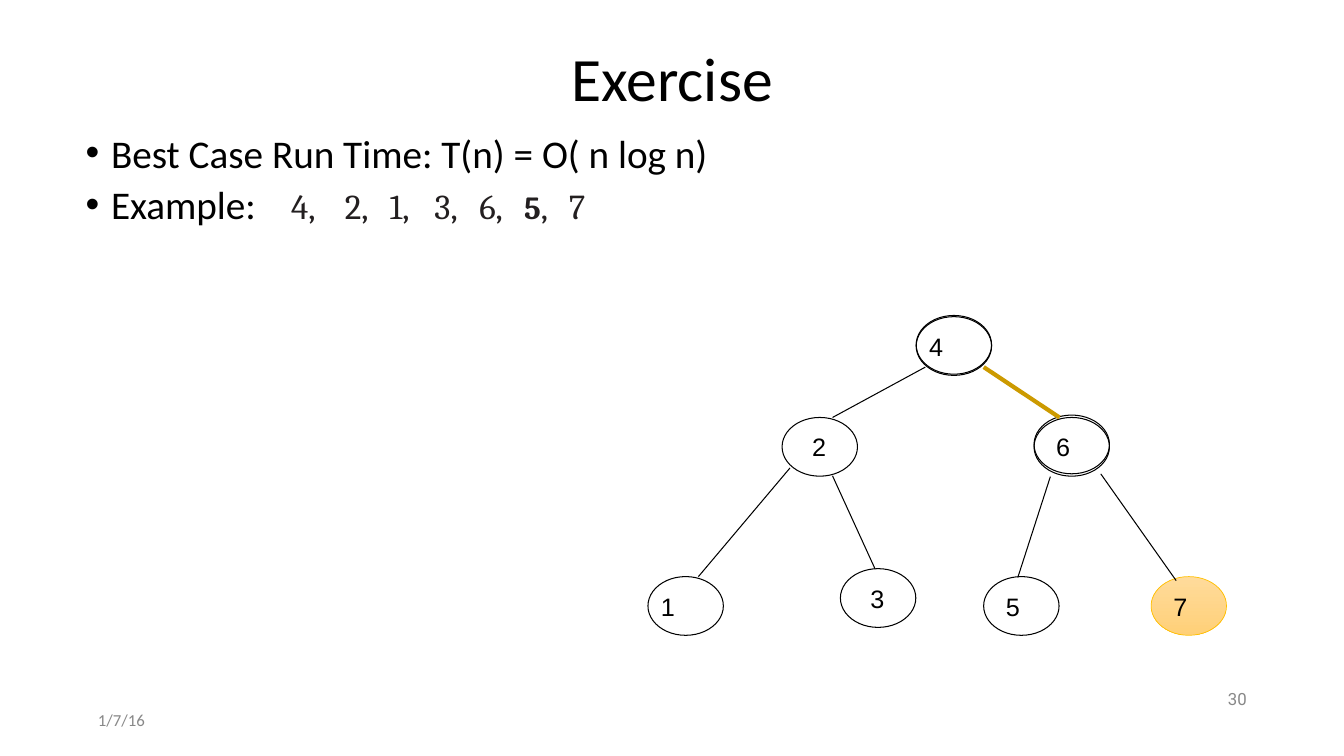
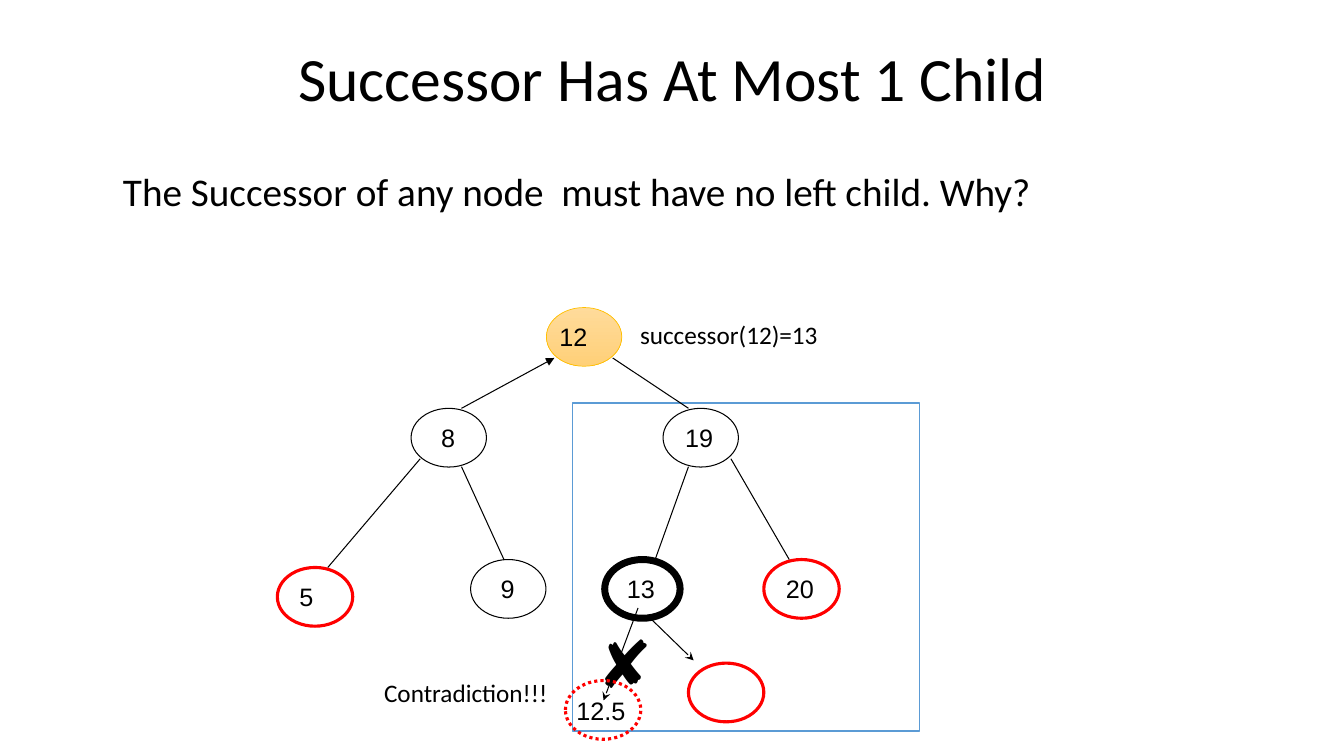
from dataclasses import dataclass
from typing import Any

from lxml import etree
from pptx import Presentation
from pptx import util as u
from pptx.dml import color
from pptx.enum import dml, shapes, text
from pptx.oxml import ns

HUES = {
    "ink": "000000", "red": "FF0000", "gold": "CC9A00", "blue": "5B9BD5",
    "grey": "888888", "dark": "231F20", "rim": "FFC000",
    "light": "FFDB9B", "deep": "FFD078",
}
OVAL = (1.9, 1.48)
NEAR, MID, FAR = 0.05, 0.28, 0.48  # left inset of a node's label, cm


@dataclass
class Node:
    x: float
    y: float
    label: str = ""
    pad: float = NEAR
    hue: str = "ink"
    width: float = 0.75
    glow: bool = False
    dots: bool = False


@dataclass
class Edge:
    x1: float
    y1: float
    x2: float
    y2: float
    hue: str = "ink"
    width: float = 0.75
    head: str = ""


@dataclass
class Label:
    x: float
    y: float
    w: float
    h: float
    words: str
    size: float = 18
    font: str = "Calibri"
    hue: str = "ink"
    align: Any = text.PP_ALIGN.LEFT
    anchor: Any = text.MSO_ANCHOR.TOP
    space: float = 1.0
    wrap: bool = True


def rgb(hue: str) -> color.RGBColor:
    return color.RGBColor.from_string(HUES[hue])


def child(parent: Any, tag: str, **attrs: str) -> Any:
    return etree.SubElement(parent, ns.qn(tag), attrs)


def style(font: Any, name: str, size: float, hue: str) -> None:
    font.name, font.size = name, u.Pt(size)
    font.color.rgb = rgb(hue)


def add_label(slide: Any, item: Label) -> Any:
    box = slide.shapes.add_textbox(*map(u.Cm, (item.x, item.y, item.w, item.h)))
    frame = box.text_frame
    frame.word_wrap, frame.vertical_anchor = item.wrap, item.anchor
    frame.margin_left = frame.margin_right = u.Cm(0.13)
    frame.margin_top = frame.margin_bottom = u.Cm(0.13)
    frame.text = item.words
    para = frame.paragraphs[0]
    para.alignment, para.line_spacing = item.align, item.space
    for run in para.runs:
        style(run.font, item.font, item.size, item.hue)
    return frame


def add_node(slide: Any, node: Node) -> None:
    oval = slide.shapes.add_shape(
        shapes.MSO_SHAPE.OVAL, u.Cm(node.x), u.Cm(node.y), *map(u.Cm, OVAL))
    oval.shadow.inherit = False
    oval.line.color.rgb, oval.line.width = rgb(node.hue), u.Pt(node.width)
    if node.dots:
        oval.line.dash_style = dml.MSO_LINE.ROUND_DOT
    if node.glow:
        oval.fill.gradient()
        oval.fill.gradient_angle = 270
        for stop, hue in zip(oval.fill.gradient_stops, ("light", "deep")):
            stop.color.rgb = rgb(hue)
    else:
        oval.fill.background()
    if node.label:
        frame = oval.text_frame
        frame.word_wrap, frame.vertical_anchor = True, text.MSO_ANCHOR.MIDDLE
        frame.margin_left = u.Cm(node.pad)
        frame.margin_right = frame.margin_top = frame.margin_bottom = 0
        frame.text = node.label
        para = frame.paragraphs[0]
        para.alignment = text.PP_ALIGN.LEFT
        style(para.runs[0].font, "Arial", 18, "ink")


def add_edge(slide: Any, edge: Edge) -> None:
    line = slide.shapes.add_connector(
        shapes.MSO_CONNECTOR.STRAIGHT,
        *map(u.Cm, (edge.x1, edge.y1, edge.x2, edge.y2)))
    line.line.color.rgb, line.line.width = rgb(edge.hue), u.Pt(edge.width)
    if edge.head:
        child(line.line._get_or_add_ln(), "a:tailEnd", type=edge.head)
    child(line._element.spPr, "a:effectLst")


def add_tree(slide: Any, nodes: list[Node], edges: list[Edge]) -> None:
    for node in nodes:
        add_node(slide, node)
    for edge in edges:
        add_edge(slide, edge)


def add_page(deck: Any, title: str) -> Any:
    slide = deck.slides.add_slide(deck.slide_layouts[6])
    add_label(slide, Label(2.34, 0.79, 29.21, 2.54, title, 44, space=0.9,
                           align=text.PP_ALIGN.CENTER,
                           anchor=text.MSO_ANCHOR.MIDDLE))
    return slide


def add_bullet(para: Any, stops: list[float]) -> None:
    """Give a paragraph a hanging bullet and tab stops in cm."""
    props = para._p.get_or_add_pPr()
    props.set("marL", str(u.Cm(0.64)))
    props.set("indent", str(-u.Cm(0.64)))
    child(props, "a:buFont", typeface="Arial")
    child(props, "a:buChar", char="•")
    if stops:
        tabs = child(props, "a:tabLst")
        for stop in stops:
            child(tabs, "a:tab", pos=str(u.Cm(stop)), algn="l")


def add_bullets(slide: Any) -> None:
    frame = add_label(slide, Label(
        2.03, 3.35, 21.97, 4.55, "Best Case Run Time: T(n) = O( n log n)",
        28, space=0.8))
    add_bullet(frame.paragraphs[0], [])
    para = frame.add_paragraph()
    para.line_spacing, para.space_before = 0.8, u.Pt(10)
    add_bullet(para, [5.18] + [6.53 + 1.13 * i for i in range(6)])
    for words, font, size, hue, bold in (
            ("Example:", "Calibri", 28, "ink", False),
            ("\t4,\t2,\t1,\t3,\t6,\t", "Cambria", 25, "dark", False),
            ("5", "Cambria", 23, "dark", True),
            (",\t7", "Cambria", 25, "dark", False)):
        run = para.add_run()
        run.text = words
        style(run.font, font, size, hue)
        run.font.bold = bold


def exercise(deck: Any) -> None:
    slide = add_page(deck, "Exercise")
    add_bullets(slide)
    middle = text.MSO_ANCHOR.MIDDLE
    add_label(slide, Label(2.34, 17.78, 7.62, 0.74, "1/7/16", 12, hue="grey",
                           anchor=middle))
    add_label(slide, Label(23.93, 17.27, 7.62, 0.74, "30", 12, "Roboto", "grey",
                           text.PP_ALIGN.RIGHT, middle, 0.9))
    add_tree(slide, [
        Node(23.09, 7.98, "4"),
        Node(23.09, 7.95),
        Node(19.71, 10.52, "2", FAR),
        Node(26.06, 10.52, "6", MID),
        Node(26.06, 10.46),
        Node(16.33, 14.53, "1"),
        Node(21.18, 14.33, "3", FAR),
        Node(24.79, 14.53, "5", MID),
        Node(29.01, 14.53, "7", MID, "rim", 0.5, glow=True),
    ], [
        Edge(20.98, 10.52, 23.32, 9.25),
        Edge(24.79, 9.25, 26.7, 10.52, "gold", 3),
        Edge(17.6, 14.53, 19.91, 11.79),
        Edge(20.98, 11.99, 22.05, 14.33),
        Edge(25.65, 14.55, 26.47, 12.01),
        Edge(27.74, 11.94, 29.64, 14.63),
    ])


def successor(deck: Any) -> None:
    slide = add_page(deck, "Successor Has At Most 1 Child")
    for item in (
            Label(2.97, 4.09, 27.91, 1.5,
                  "The Successor of any node  must have no left child. Why?", 28),
            Label(14.94, 15.57, 1.42, 1.88, "✘", 47, wrap=False),
            Label(16, 7.92, 4.78, 1.04, "successor(12)=13", wrap=False),
            Label(9.55, 16.94, 4.42, 1.04, "Contradiction!!!", wrap=False)):
        add_label(slide, item)
    frame = slide.shapes.add_shape(
        shapes.MSO_SHAPE.RECTANGLE, *map(u.Cm, (14.43, 10.16, 8.74, 8.26)))
    frame.shadow.inherit = False
    frame.fill.background()
    frame.line.color.rgb, frame.line.width = rgb("blue"), u.Pt(1)
    add_tree(slide, [
        Node(13.77, 7.75, "12", NEAR, "rim", 0.5, glow=True),
        Node(10.36, 10.29, "8", FAR),
        Node(16.71, 10.29, "19", MID),
        Node(6.99, 14.3, "5", MID, "red", 2.25),
        Node(11.86, 14.1, "9", FAR),
        Node(15.24, 14.1, "13", MID, width=5),
        Node(19.25, 14.1, "20", MID, "red", 2.25),
        Node(17.35, 16.71, hue="red", width=2.25),
        Node(14.25, 17.15, "12.5", 0, "red", 2.25, dots=True),
    ], [
        Edge(11.63, 10.29, 13.97, 9.02, head="triangle"),
        Edge(15.44, 9.02, 17.35, 10.29),
        Edge(8.26, 14.3, 10.59, 11.56),
        Edge(11.63, 11.76, 12.7, 14.1),
        Edge(17.35, 11.76, 16.51, 14.1),
        Edge(18.42, 11.56, 19.89, 14.1),
        Edge(16.08, 15.32, 15.21, 17.65, head="stealth"),
        Edge(16.41, 15.6, 17.48, 16.64, head="stealth"),
    ])


def main() -> None:
    deck = Presentation()
    deck.slide_width, deck.slide_height = u.Cm(33.87), u.Cm(19.05)
    exercise(deck)
    successor(deck)
    deck.save("out.pptx")


if __name__ == "__main__":
    main()
